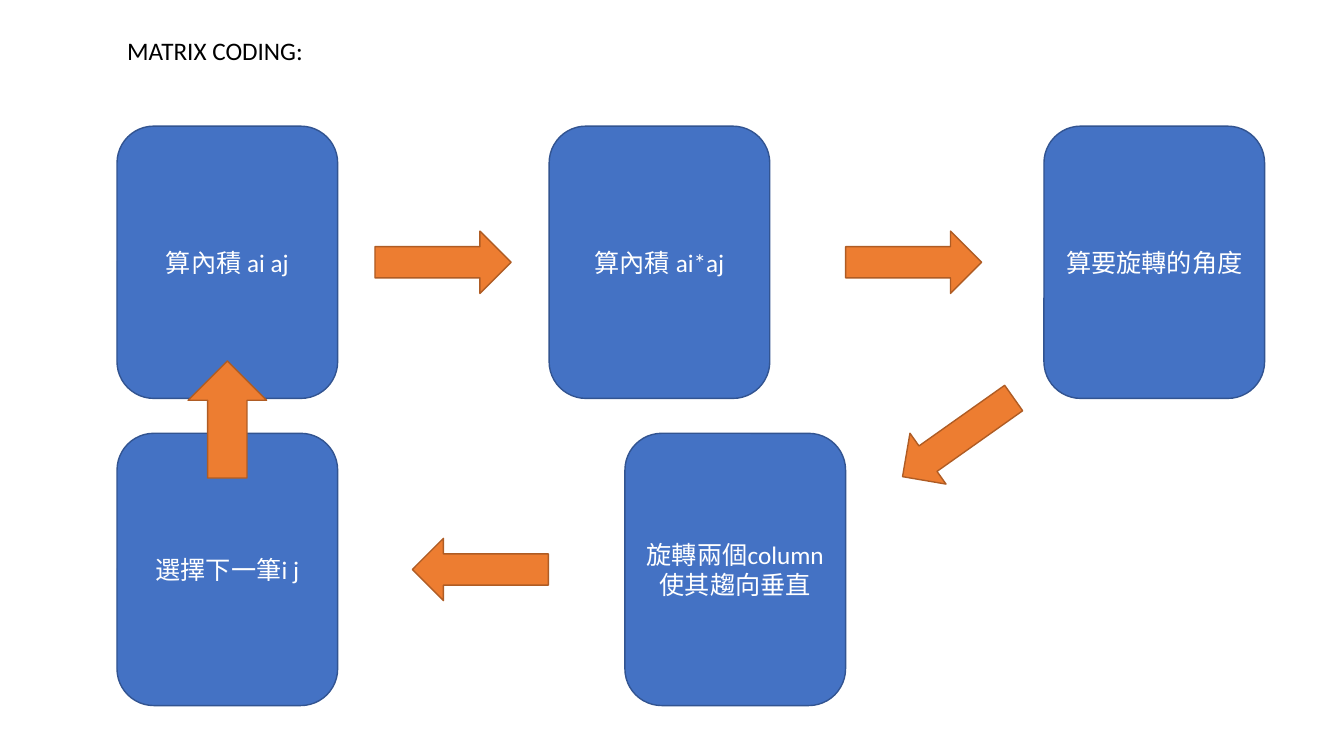
from pptx import Presentation
from pptx.dml.color import RGBColor
from pptx.enum.shapes import MSO_SHAPE
from pptx.enum.text import MSO_ANCHOR, MSO_AUTO_SIZE, PP_ALIGN
from pptx.util import Cm, Pt

COLORS = {
    "step": "4472C4", "step_edge": "325491",
    "arrow": "ED7D31", "arrow_edge": "AF5C24",
    "title": "000000", "label": "FFFFFF",
}
STEP_WIDTH, STEP_HEIGHT = 5.56, 6.86
ARROW_WIDTH, ARROW_HEIGHT = 3.43, 1.57
LEFT_COLUMN = 2.95
TOP_ROW, BOTTOM_ROW = 3.18, 10.92


def color(name):
    return RGBColor.from_string(COLORS[name])


def write_text(frame, text, *, ink, align, anchor, font="Calibri", size=18, wrap=True):
    frame.word_wrap = wrap
    frame.vertical_anchor = anchor
    para = frame.paragraphs[0]
    para.alignment = align
    span = para.add_run()
    span.text = text
    span.font.name = font
    span.font.size = Pt(size)
    span.font.color.rgb = color(ink)


class FlowPage:
    """Holds the current slide and the shared shape style."""

    def __init__(self, deck, line_width=1):
        self.page = deck.slides.add_slide(deck.slide_layouts[5])
        self.line_width = Pt(line_width)

    def title(self, text, left, top, width, height):
        box = self.page.shapes.title
        box.left, box.top, box.width, box.height = map(Cm, (left, top, width, height))
        write_text(box.text_frame, text, ink="title", align=PP_ALIGN.LEFT,
                   anchor=MSO_ANCHOR.TOP, wrap=False)
        box.text_frame.auto_size = MSO_AUTO_SIZE.SHAPE_TO_FIT_TEXT

    def shape(self, kind, style, left, top, width, height):
        box = self.page.shapes.add_shape(kind, *map(Cm, (left, top, width, height)))
        box.shadow.inherit = False
        box.fill.solid()
        box.fill.fore_color.rgb = color(style)
        box.line.color.rgb = color(style + "_edge")
        box.line.width = self.line_width
        return box

    def step(self, text, left, top):
        box = self.shape(MSO_SHAPE.ROUNDED_RECTANGLE, "step", left, top,
                         STEP_WIDTH, STEP_HEIGHT)
        write_text(box.text_frame, text, ink="label", align=PP_ALIGN.CENTER,
                   anchor=MSO_ANCHOR.MIDDLE)

    def arrow(self, left, middle, rotation=0, width=ARROW_WIDTH, height=ARROW_HEIGHT):
        box = self.shape(MSO_SHAPE.RIGHT_ARROW, "arrow", left, middle - height / 2,
                         width, height)
        box.rotation = rotation


def main():
    deck = Presentation()
    deck.slide_width, deck.slide_height = Cm(33.87), Cm(19.05)
    flow = FlowPage(deck)
    flow.title("MATRIX CODING:", LEFT_COLUMN, 0.76, 5.28, 1.02)

    # Steps of the loop
    for text, left, top in [
        ("算內積 ai aj", LEFT_COLUMN, TOP_ROW),
        ("算內積 ai*aj", 13.84, TOP_ROW),
        ("算要旋轉的角度", 26.31, TOP_ROW),
        ("旋轉兩個column使其趨向垂直", 15.75, BOTTOM_ROW),
        ("選擇下一筆i j", LEFT_COLUMN, BOTTOM_ROW),
    ]:
        flow.step(text, left, top)

    # Arrows along the rows, then diagonally down and back up
    top_middle = TOP_ROW + STEP_HEIGHT / 2
    bottom_middle = BOTTOM_ROW + STEP_HEIGHT / 2
    flow.arrow(9.45, top_middle)
    flow.arrow(21.31, top_middle)
    flow.arrow(22.43, 11.02, rotation=144.7)
    flow.arrow(10.39, bottom_middle, rotation=180)
    up_length = 2.95
    flow.arrow(LEFT_COLUMN + (STEP_WIDTH - up_length) / 2, 10.57, rotation=270,
               width=up_length, height=1.98)

    deck.save("out.pptx")


if __name__ == "__main__":
    main()
